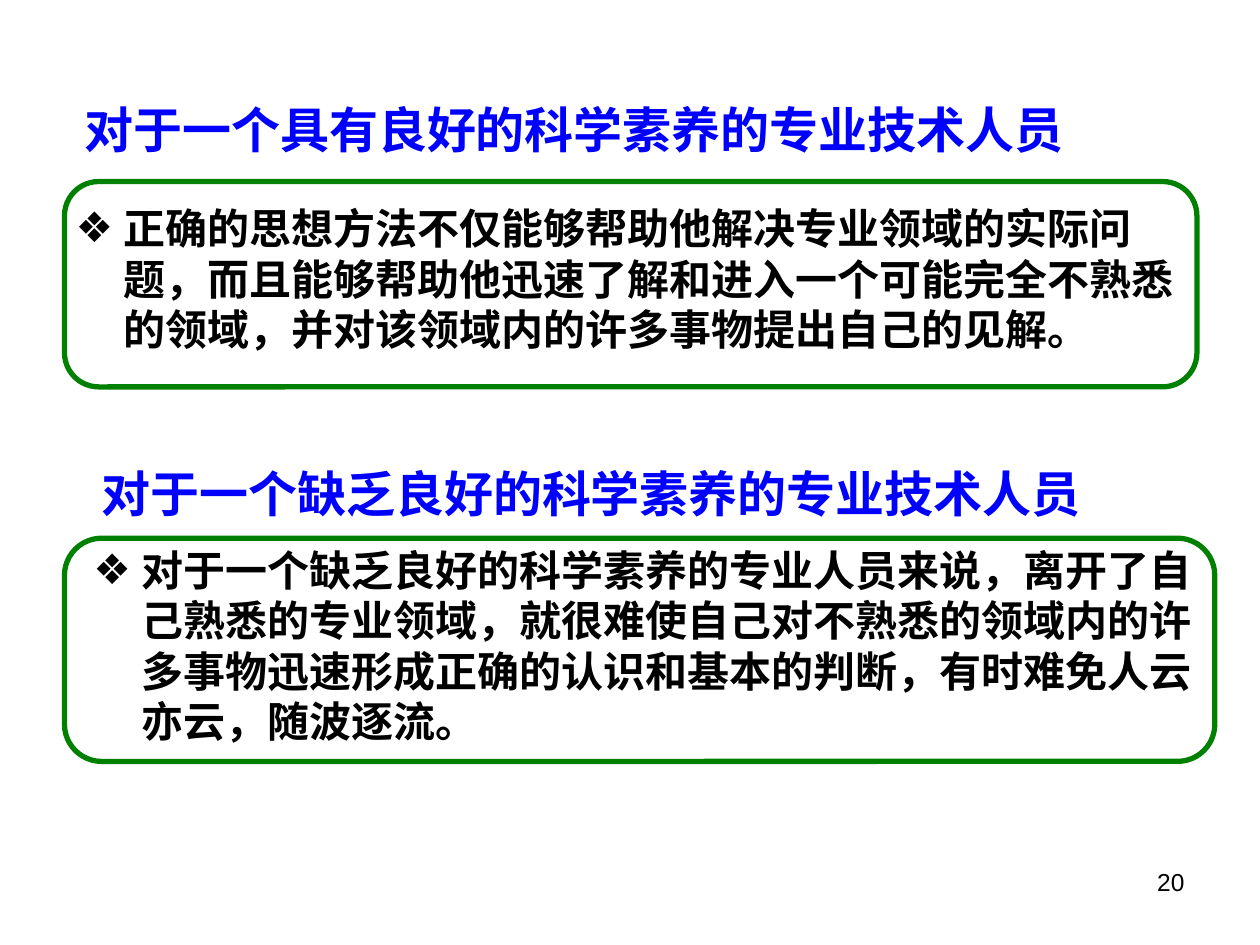
import pptx
import pptx.dml.color
import pptx.enum.shapes
import pptx.enum.text
import pptx.oxml.ns
import pptx.util
from lxml import etree

Cm = pptx.util.Cm
Align = pptx.enum.text.PP_ALIGN
COLORS = {"heading": "0000FF", "text": "000000", "frame": "008000"}
CJK = "Noto Sans CJK SC"
SECTIONS = [
    {
        "box": (1.3, 3.66, 22.83, 4.14),
        "heading_offset": (0.15, -1.78),
        "list_offset": (-0.03, 0.3),
        "heading": "对于一个具有良好的科学素养的专业技术人员",
        "text": "正确的思想方法不仅能够帮助他解决专业领域的实际问题，而且能够帮助他迅速了解和进入一个可能完全不熟悉的领域，并对该领域内的许多事物提出自己的见解。",
        "font": "Arial",
    },
    {
        "box": (1.3, 10.85, 23.19, 4.5),
        "heading_offset": (0.5, -1.63),
        "list_offset": (0.33, 0),
        "heading": "对于一个缺乏良好的科学素养的专业技术人员",
        "text": "对于一个缺乏良好的科学素养的专业人员来说，离开了自己熟悉的专业领域，就很难使自己对不熟悉的领域内的许多事物迅速形成正确的认识和基本的判断，有时难免人云亦云，随波逐流。",
        "font": CJK,
    },
]


def color(name):
    """Return the named colour as an RGB value."""
    return pptx.dml.color.RGBColor.from_string(COLORS[name])


def add_child(parent, tag, **attributes):
    """Append a DrawingML element to its parent."""
    return etree.SubElement(parent, pptx.oxml.ns.qn(tag), **attributes)


def add_bullet(paragraph):
    """Give the paragraph a hanging diamond bullet and keep punctuation inside."""
    properties = paragraph._p.get_or_add_pPr()
    properties.set("marL", str(Cm(0.97)))
    properties.set("indent", str(-Cm(0.97)))
    properties.set("hangingPunct", "0")
    bullet_color = add_child(properties, "a:buClr")
    add_child(bullet_color, "a:srgbClr", val=COLORS["text"])
    add_child(properties, "a:buFont", typeface="Arial")
    add_child(properties, "a:buChar", char="❖")


def fill_text(shape, box, text, size, font, tint, bold=True, wrap=True,
              bullet=False, align=Align.LEFT):
    """Place a text shape and format its single paragraph."""
    shape.left, shape.top, shape.width, shape.height = map(Cm, box)
    frame = shape.text_frame
    frame.text = text
    frame.word_wrap = wrap
    frame.auto_size = pptx.enum.text.MSO_AUTO_SIZE.NONE
    frame.vertical_anchor = pptx.enum.text.MSO_ANCHOR.TOP
    paragraph = frame.paragraphs[0]
    paragraph.alignment = align
    paragraph.space_before = pptx.util.Pt(0)
    if bullet:
        add_bullet(paragraph)
    paragraph.font.size = pptx.util.Pt(size)
    paragraph.font.bold = bold
    paragraph.font.color.rgb = color(tint)
    paragraph.font.name = font
    defaults = paragraph._p.pPr.find(pptx.oxml.ns.qn("a:defRPr"))
    add_child(defaults, "a:ea", typeface=CJK)


def add_frame(page, box):
    """Draw the green rounded outline around a section."""
    kind = pptx.enum.shapes.MSO_SHAPE.ROUNDED_RECTANGLE
    frame = page.shapes.add_shape(kind, *map(Cm, box))
    frame.shadow.inherit = False
    frame.fill.background()
    frame.line.color.rgb = color("frame")
    frame.line.width = pptx.util.Pt(3)


def add_section(page, section, heading, body):
    """Place a heading, its bulleted text and the outline from the section box."""
    left, top = section["box"][:2]
    across, down = section["heading_offset"]
    fill_text(heading, (left + across, top + down, 20.5, 1.45),
              section["heading"], 28, CJK, "heading")
    across, down = section["list_offset"]
    fill_text(body, (left + across, top + down, 22.86, 4.5),
              section["text"], 24, section["font"], "text", bullet=True)
    add_frame(page, section["box"])


def add_page_number(page, box):
    """Write the page number in the lower right corner."""
    shape = page.shapes.add_textbox(*map(Cm, box))
    fill_text(shape, box, "20", 14, "Arial", "text", bold=False,
              align=Align.RIGHT)


def main():
    """Build and save the deck."""
    deck = pptx.Presentation()
    deck.slide_width, deck.slide_height = Cm(25.4), Cm(19.05)
    page = deck.slides.add_slide(deck.slide_layouts.get_by_name("Two Content"))
    second_heading = page.shapes.add_textbox(0, 0, 0, 0)
    headings = [page.shapes.title, second_heading]
    bodies = [page.placeholders[1], page.placeholders[2]]
    for section, heading, body in zip(SECTIONS, headings, bodies):
        add_section(page, section, heading, body)
    add_page_number(page, (18.21, 17.35, 5.92, 1.32))
    deck.save("out.pptx")


if __name__ == "__main__":
    main()
